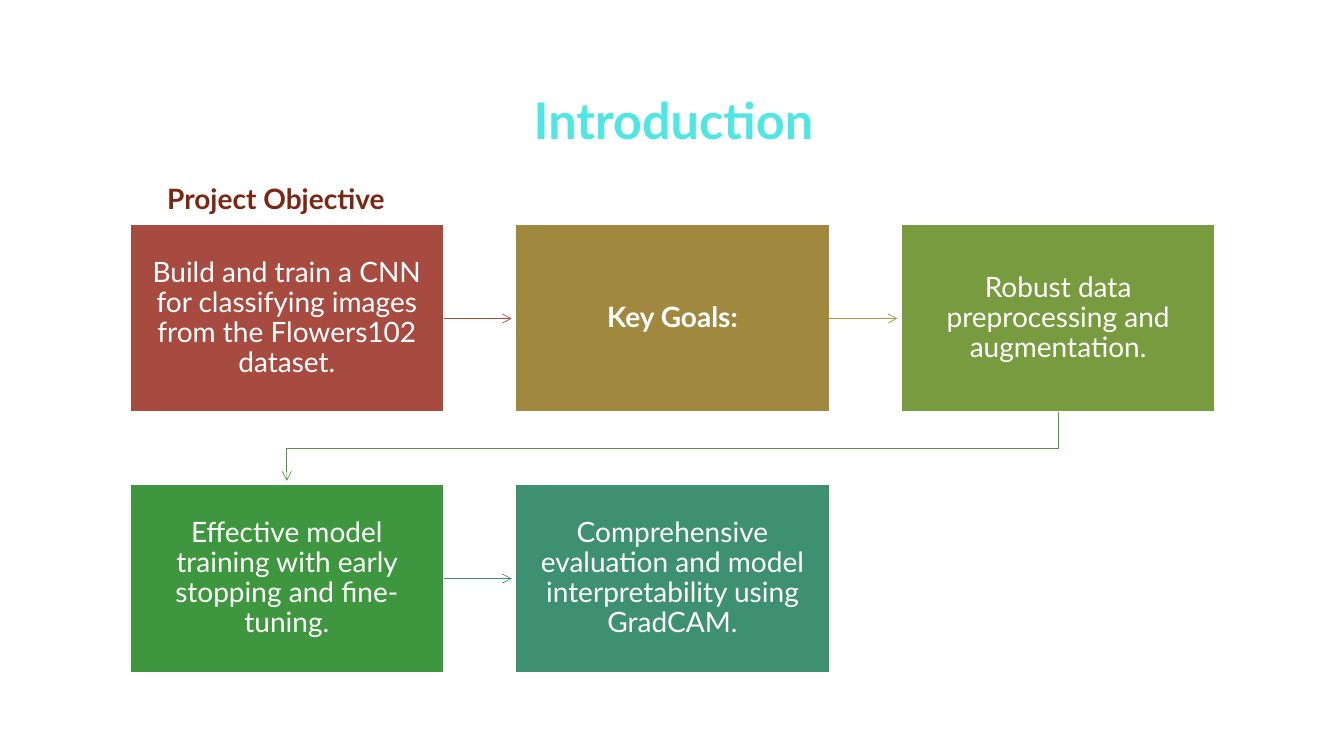
from lxml import etree
from pptx import Presentation
from pptx.dml.color import RGBColor
from pptx.enum import shapes, text
from pptx.oxml import ns
from pptx.util import Inches, Pt

COLORS = {
    "title": "50E6E4", "label": "7C2713", "white": "FFFFFF",
    "red": "A74B40", "gold": "A1883F", "olive": "799B3F",
    "green": "3E963E", "teal": "3D9072",
    "khaki": "9F9A3F", "leaf": "50983E",
}
STEPS = [
    ("Build and train a CNN for classifying images from the Flowers102 dataset.", "red", False),
    ("Key Goals:", "gold", True),
    ("Robust data preprocessing and augmentation.", "olive", False),
    ("Effective model training with early stopping and fine-tuning.", "green", False),
    ("Comprehensive evaluation and model interpretability using GradCAM.", "teal", False),
]
COLS = 3
LEFT, TOP = 1.29, 2.23
WIDE, HIGH = 3.11, 1.86
STEP_X, STEP_Y = 3.825, 2.58
GAP = 0.04


def color(name):
    return RGBColor.from_string(COLORS[name])


def write(frame, words, size, name, bold=False):
    frame.word_wrap = True
    frame.text = words
    font = frame.paragraphs[0].runs[0].font
    font.name, font.size, font.bold = "Lato", Pt(size), bold
    font.color.rgb = color(name)
    return frame.paragraphs[0]


def add_title(slide):
    title = slide.shapes.title
    title.left, title.top = Inches(1.67), Inches(0.6)
    title.width, title.height = Inches(10.02), Inches(1.24)
    title.text_frame.vertical_anchor = text.MSO_ANCHOR.MIDDLE
    para = write(title.text_frame, "Introduction", 36, "title", True)
    para.alignment = text.PP_ALIGN.CENTER
    para.line_spacing = 0.9


def add_label(slide):
    box = slide.shapes.add_textbox(Inches(1.56), Inches(1.75), Inches(2.99), Inches(0.74))
    write(box.text_frame, "Project Objective", 20, "label", True)


def add_step(slide, index, words, fill, bold):
    row, col = divmod(index, COLS)
    box = slide.shapes.add_shape(
        shapes.MSO_SHAPE.RECTANGLE, Inches(LEFT + col * STEP_X),
        Inches(TOP + row * STEP_Y), Inches(WIDE), Inches(HIGH))
    box.shadow.inherit = False
    box.fill.solid()
    box.fill.fore_color.rgb = color(fill)
    box.line.color.rgb = color("white")
    box.line.width = Pt(1)
    frame = box.text_frame
    frame.margin_left = frame.margin_right = Inches(0.15)
    frame.margin_top = frame.margin_bottom = Inches(0.16)
    frame.vertical_anchor = text.MSO_ANCHOR.MIDDLE
    para = write(frame, words, 20, "white", bold)
    para.alignment = text.PP_ALIGN.CENTER
    para.line_spacing = 0.9
    return box


def style_arrow(line, name):
    line.color.rgb = color(name)
    line.width = Pt(0.5)
    # The line element exists once its colour is set.
    etree.SubElement(line.fill._xPr, ns.qn("a:tailEnd"), type="arrow")


def add_arrow(slide, start, end, name):
    """Arrow from the right side of one box to just before the next."""
    y = start.top + start.height // 2
    arrow = slide.shapes.add_connector(
        shapes.MSO_CONNECTOR.STRAIGHT, start.left + start.width, y,
        end.left - Inches(GAP), y)
    arrow.begin_connect(start, 3)
    style_arrow(arrow.line, name)
    etree.SubElement(arrow._element.spPr, ns.qn("a:effectLst"))


def add_turn(slide, start, end, name):
    """Bent arrow from the bottom of a row's last box to the next row."""
    x1, x2 = (box.left + box.width // 2 for box in (start, end))
    y1 = start.top + start.height
    mid = (y1 + end.top) // 2
    path = slide.shapes.build_freeform(x1, y1)
    path.add_line_segments(
        [(x1, mid), (x2, mid), (x2, end.top - Inches(GAP))], close=False)
    turn = path.convert_to_shape()
    turn.shadow.inherit = False
    turn.fill.background()
    style_arrow(turn.line, name)


def main():
    deck = Presentation()
    deck.slide_width, deck.slide_height = Inches(13.33), Inches(7.5)
    slide = deck.slides.add_slide(deck.slide_layouts[5])
    add_title(slide)
    boxes = [add_step(slide, i, *step) for i, step in enumerate(STEPS)]
    for i, name in ((0, "red"), (1, "khaki"), (3, "teal")):
        add_arrow(slide, boxes[i], boxes[i + 1], name)
    add_turn(slide, boxes[2], boxes[3], "leaf")
    add_label(slide)
    deck.save("out.pptx")


if __name__ == "__main__":
    main()
